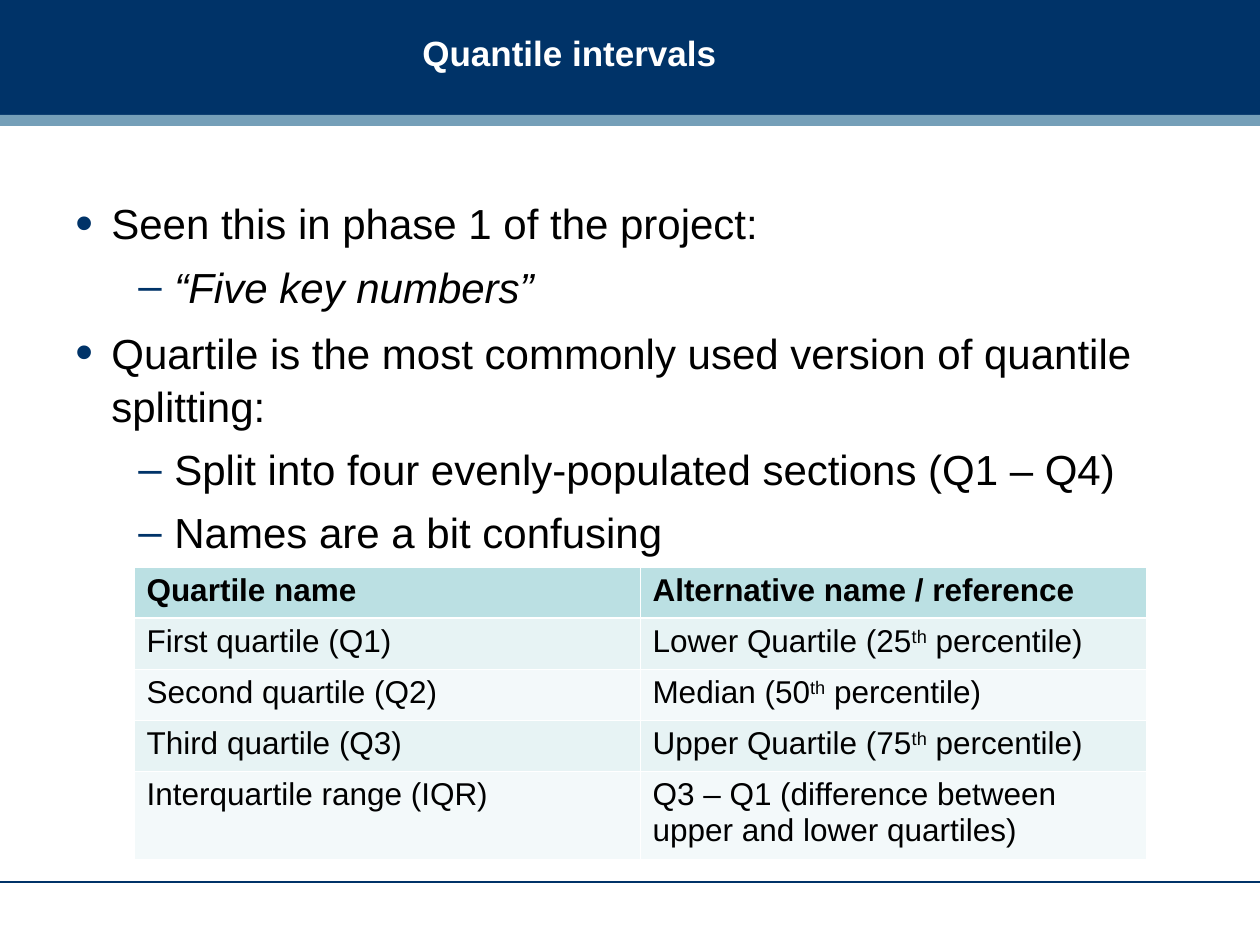
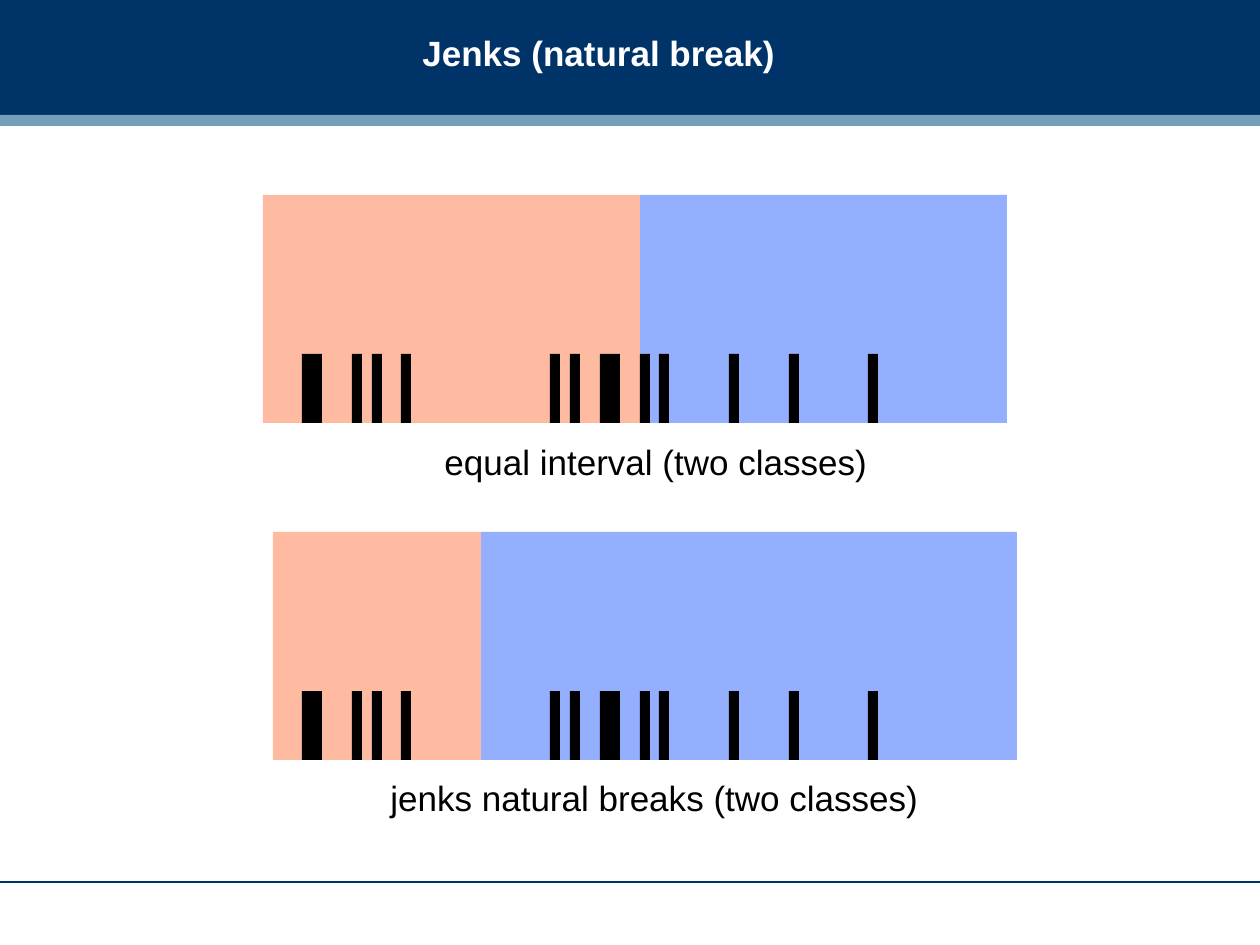
import pptx
import pptx.dml.color
import pptx.enum.shapes
import pptx.enum.text
import pptx.oxml.ns
import pptx.util
from lxml import etree

PX = 914400 / 126  # EMU in one px
SLIDE_WIDTH, SLIDE_HEIGHT = 1260, 945
FONT = "Arial"
COLORS = {
    "navy": "003368",
    "steel": "759FB8",
    "white": "FFFFFF",
    "black": "000000",
    "header": "BBE0E3",
    "odd_row": "E7F3F4",
    "even_row": "F3F9FA",
    "low_class": "FFBBA2",
    "high_class": "95AFFF",
}

# Per level: text indent and hanging px, space before pt, bullet, bullet size %
BULLET_LEVELS = [(36, 36, 7.5, "•", 120), (99, 36, 6, "–", 100)]
# Each bullet: level, text, italic
BULLETS = [
    (0, "Seen this in phase 1 of the project:", False),
    (1, "“Five key numbers”", True),
    (0, "Quartile is the most commonly used version of quantile splitting:", False),
    (1, "Split into four evenly-populated sections (Q1 – Q4)", False),
    (1, "Names are a bit confusing", False),
]
# A cell is a list of runs; every second run is superscript
QUARTILE_ROWS = [
    (["Quartile name"], ["Alternative name / reference"]),
    (["First quartile (Q1)"], ["Lower Quartile (25", "th", " percentile)"]),
    (["Second quartile (Q2)"], ["Median (50", "th", " percentile)"]),
    (["Third quartile (Q3)"], ["Upper Quartile (75", "th", " percentile)"]),
    (["Interquartile range (IQR)"],
     ["Q3 – Q1 (difference between upper and lower quartiles)"]),
]
QUARTILE_ROW_HEIGHTS = [51, 51, 51, 51, 88]

# Data values on a 57-step scale, drawn as bars
DATA_VALUES = [0, 1, 5, 7, 10, 25, 27, 30, 31, 34, 36, 43, 49, 57]
DATA_LEFT, DATA_SPAN = 302, 566
BAR_WIDTH, BAR_HEIGHT = 10, 69
CLASS_HEIGHT = 228


def px(length):
    return pptx.util.Emu(round(length * PX))


def rgb(name):
    return pptx.dml.color.RGBColor.from_string(COLORS[name])


def set_font(font, size, color="black", bold=False, italic=False):
    font.name = FONT
    font.size = pptx.util.Pt(size)
    font.color.rgb = rgb(color)
    font.bold = bold
    font.italic = italic


def add_element(parent, tag, **attributes):
    element = etree.SubElement(parent, pptx.oxml.ns.qn(tag))
    for name, value in attributes.items():
        element.set(name, str(value))
    return element


def add_rectangle(slide, left, top, width, height, color):
    shape = slide.shapes.add_shape(
        pptx.enum.shapes.MSO_SHAPE.RECTANGLE, px(left), px(top), px(width), px(height))
    shape.shadow.inherit = False
    shape.fill.solid()
    shape.fill.fore_color.rgb = rgb(color)
    shape.line.fill.background()


def add_text_frame(slide, left, top, width, height):
    box = slide.shapes.add_textbox(px(left), px(top), px(width), px(height))
    box.text_frame.word_wrap = True
    return box.text_frame


def add_rule(slide, top, color):
    line = slide.shapes.add_connector(
        pptx.enum.shapes.MSO_CONNECTOR.STRAIGHT, 0, px(top), px(SLIDE_WIDTH), px(top))
    line.line.color.rgb = rgb(color)
    line.line.width = pptx.util.Pt(0.75)
    add_element(line._element.spPr, "a:effectLst")


def add_titled_slide(presentation, title):
    """Add a slide with the shared header bands, footer rule and title."""
    slide = presentation.slides.add_slide(presentation.slide_layouts[6])
    add_rectangle(slide, 0, 0, SLIDE_WIDTH, 116, "navy")
    add_rule(slide, 882, "navy")
    add_rectangle(slide, 0, 115, SLIDE_WIDTH, 11, "steel")
    frame = add_text_frame(slide, 410, 0, 829, 105)
    frame.vertical_anchor = pptx.enum.text.MSO_ANCHOR.MIDDLE
    frame.text = title
    set_font(frame.paragraphs[0].font, 20, "white", bold=True)
    return slide


def add_bullets(slide, left, top, width, height, bullets):
    frame = add_text_frame(slide, left, top, width, height)
    for index, (level, text, italic) in enumerate(bullets):
        paragraph = frame.add_paragraph() if index else frame.paragraphs[0]
        indent, hanging, space, mark, mark_size = BULLET_LEVELS[level]
        paragraph.text = text
        paragraph.level = level
        paragraph.line_spacing = 1.05
        if index:
            paragraph.space_before = pptx.util.Pt(space)
        properties = paragraph._p.get_or_add_pPr()
        properties.set("marL", str(px(indent)))
        properties.set("indent", str(-px(hanging)))
        bullet_color = add_element(properties, "a:buClr")
        add_element(bullet_color, "a:srgbClr", val=COLORS["navy"])
        add_element(properties, "a:buSzPct", val=mark_size * 1000)
        add_element(properties, "a:buFont", typeface=FONT)
        add_element(properties, "a:buChar", char=mark)
        set_font(paragraph.font, 24, italic=italic)


def set_cell_borders(cell, top, bottom):
    """Draw white borders; the fill must be set afterwards."""
    properties = cell._tc.get_or_add_tcPr()
    for side, width in (("L", 0.45), ("R", 0.45), ("T", top), ("B", bottom)):
        border = add_element(properties, f"a:ln{side}", w=pptx.util.Pt(width))
        fill = add_element(border, "a:solidFill")
        add_element(fill, "a:srgbClr", val=COLORS["white"])


def fill_cell(cell, runs, row):
    set_cell_borders(cell, 1.47 if row == 1 else 0.45, 1.47 if row == 0 else 0.45)
    cell.fill.solid()
    color = "header" if row == 0 else "odd_row" if row % 2 else "even_row"
    cell.fill.fore_color.rgb = rgb(color)
    paragraph = cell.text_frame.paragraphs[0]
    for index, text in enumerate(runs):
        run = paragraph.add_run()
        run.text = text
        set_font(run.font, 18, bold=row == 0)
        if index % 2:
            run.font._element.set("baseline", "30000")


def add_quartile_table(slide, left, top, column_width):
    table = slide.shapes.add_table(
        len(QUARTILE_ROWS), 2, px(left), px(top), px(2 * column_width),
        px(sum(QUARTILE_ROW_HEIGHTS))).table
    table.horz_banding = False
    for column in table.columns:
        column.width = px(column_width)
    for row, cells in enumerate(QUARTILE_ROWS):
        table.rows[row].height = px(QUARTILE_ROW_HEIGHTS[row])
        for column, runs in enumerate(cells):
            fill_cell(table.cell(row, column), runs, row)


def add_class_diagram(slide, left, split, right, top):
    """Draw two classes that meet at split, with the data bars on the base."""
    add_rectangle(slide, split, top, right - split, CLASS_HEIGHT, "high_class")
    add_rectangle(slide, left, top, split - left, CLASS_HEIGHT, "low_class")
    for value in DATA_VALUES:
        bar_left = DATA_LEFT + round(value * DATA_SPAN / DATA_VALUES[-1])
        add_rectangle(slide, bar_left, top + CLASS_HEIGHT - BAR_HEIGHT,
                      BAR_WIDTH, BAR_HEIGHT, "black")


def add_caption(slide, left, top, width, text, alignment):
    frame = add_text_frame(slide, left, top, width, 55)
    frame.text = text
    frame.paragraphs[0].alignment = alignment
    set_font(frame.paragraphs[0].font, 20)


def main():
    presentation = pptx.Presentation()
    presentation.slide_width = px(SLIDE_WIDTH)
    presentation.slide_height = px(SLIDE_HEIGHT)
    align = pptx.enum.text.PP_ALIGN

    # Quantile intervals
    slide = add_titled_slide(presentation, "Quantile intervals")
    add_bullets(slide, 63, 189, 1134, 624, BULLETS)
    add_quartile_table(slide, 134, 567, 506)

    # Jenks natural breaks
    slide = add_titled_slide(presentation, "Jenks (natural break)")
    add_class_diagram(slide, 263, 640, 1007, 195)
    add_class_diagram(slide, 273, 481, 1017, 532)
    add_caption(slide, 432, 434, 496, "equal interval (two classes)", align.LEFT)
    add_caption(slide, 282, 770, 745, "jenks natural breaks (two classes)", align.CENTER)

    presentation.save("out.pptx")


if __name__ == "__main__":
    main()
